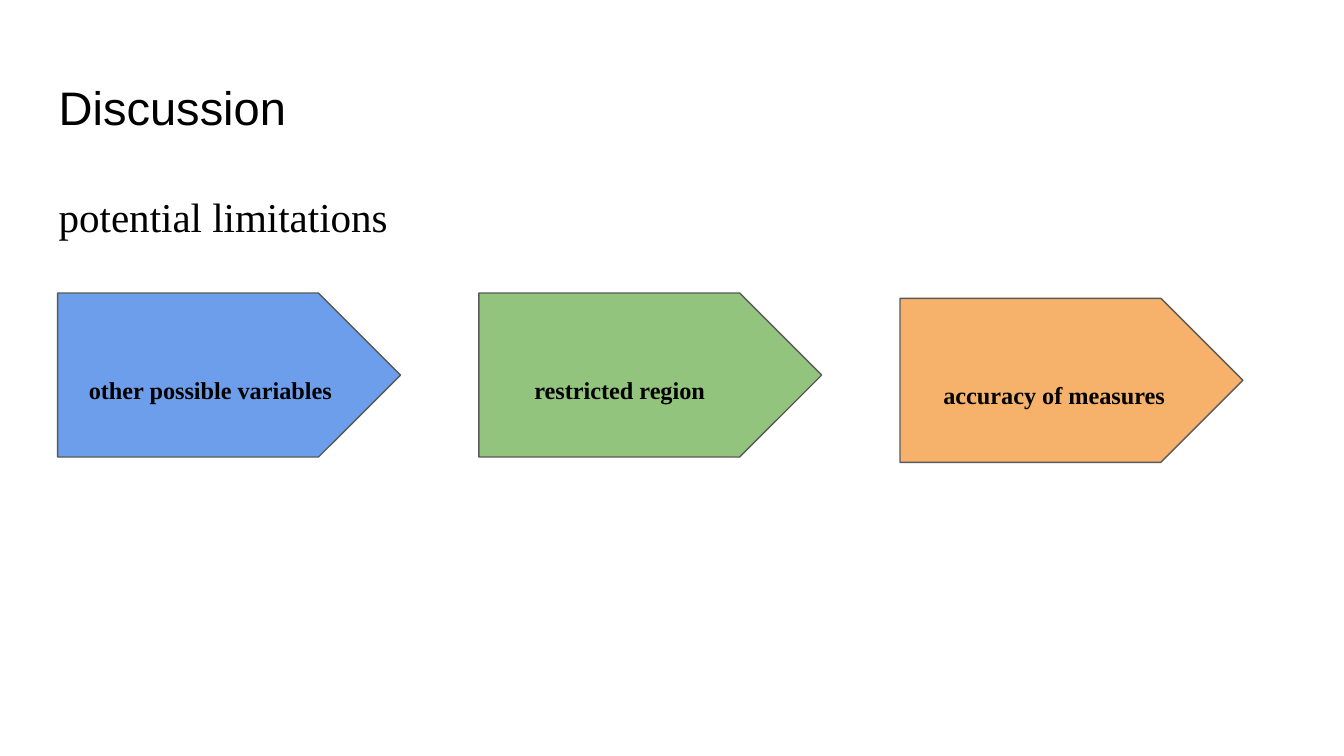
from pptx import Presentation
from pptx.dml.color import RGBColor as Rgb
from pptx.enum.shapes import MSO_SHAPE as Preset
from pptx.enum.text import MSO_ANCHOR as Anchor, PP_ALIGN as Align
from pptx.util import Cm, Pt

COLORS = {
    "text": "000000",
    "outline": "595959",
    "variables": "6D9EEB",
    "region": "93C47D",
    "accuracy": "F6B26B",
}
FORMATS = {
    "title": {"name": "Arial", "size": Pt(25.2), "bold": False},
    "subtitle": {"name": "Times New Roman", "size": Pt(22), "bold": False},
    "limitation": {"name": "Times New Roman", "size": Pt(13), "bold": True},
}
INSET = 0.25
LIMITATIONS = [
    ("other possible variables", "variables", 0.34, 0),
    ("restricted region", "region", 0.8, 0),
    ("accuracy of measures", "accuracy", 0.57, 0.1),
]


def write_text(frame, wording, style, spacing=1, anchor=Anchor.TOP, indent=0):
    """Fill a text frame with one left-aligned paragraph in the given style."""
    frame_format = {
        "word_wrap": True,
        "vertical_anchor": anchor,
        "margin_left": Cm(INSET + indent),
        "margin_right": Cm(INSET),
        "margin_top": Cm(INSET),
        "margin_bottom": Cm(INSET),
    }
    for attribute, value in frame_format.items():
        setattr(frame, attribute, value)
    paragraph = frame.paragraphs[0]
    paragraph.alignment = Align.LEFT
    paragraph.line_spacing = float(spacing)
    run = paragraph.add_run()
    run.text = wording
    for attribute, value in FORMATS[style].items():
        setattr(run.font, attribute, value)
    run.font.color.rgb = Rgb.from_string(COLORS["text"])


def add_heading(slide, box, wording, style, spacing=1):
    """Place a line of heading text in the box."""
    heading = slide.shapes.add_textbox(*map(Cm, box))
    write_text(heading.text_frame, wording, style, spacing)


def add_limitations(slide, box, limitations, arrow_width):
    """Spread one pentagon arrow per limitation evenly across the box."""
    left, top, width, height = box
    pitch = (width - arrow_width) / (len(limitations) - 1)
    for position, (wording, color, indent, drop) in enumerate(limitations):
        place = (left + position * pitch, top + drop, arrow_width, height)
        arrow = slide.shapes.add_shape(Preset.PENTAGON, *map(Cm, place))
        arrow.adjustments[0] = 0.5
        arrow.shadow.inherit = False
        arrow.fill.solid()
        arrow.fill.fore_color.rgb = Rgb.from_string(COLORS[color])
        arrow.line.color.rgb = Rgb.from_string(COLORS["outline"])
        arrow.line.width = Pt(0.75)
        write_text(arrow.text_frame, wording, "limitation", 2, Anchor.MIDDLE, indent)


def main():
    """Build the discussion slide and save it."""
    deck = Presentation()
    deck.slide_width, deck.slide_height = Cm(25.4), Cm(14.29)
    slide = deck.slides.add_slide(deck.slide_layouts[6])
    add_heading(slide, (0.86, 1.24, 23.67, 1.6), "Discussion", "title")
    add_heading(slide, (0.86, 2.44, 23.67, 10.8), "potential limitations", "subtitle", 2)
    add_limitations(slide, (1.09, 5.54, 22.4, 3.1), LIMITATIONS, 6.48)
    deck.save("out.pptx")


if __name__ == "__main__":
    main()
